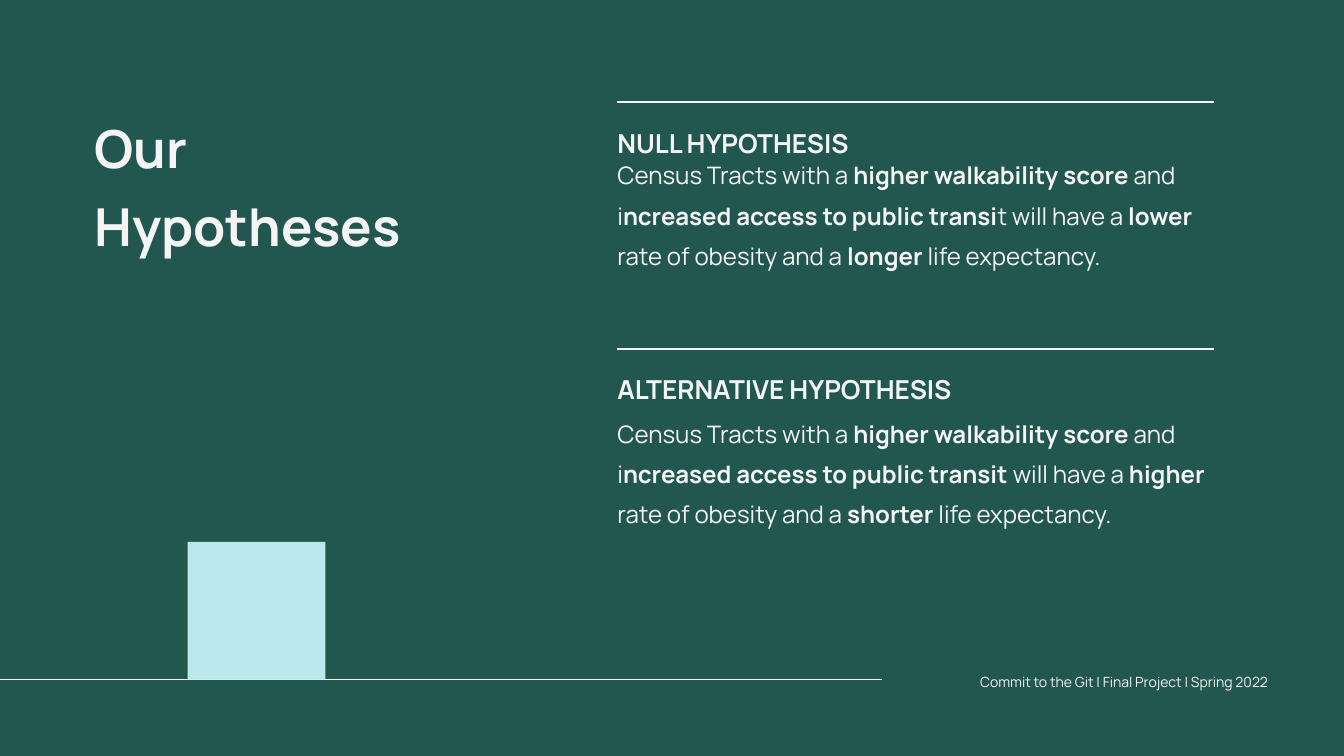
"""Build the hypotheses slide: a title on the left, two ruled statements on the right."""
from lxml import etree
from pptx import Presentation
from pptx import util as u
from pptx.dml.color import RGBColor
from pptx.enum import shapes, text
from pptx.oxml.ns import qn

TITLE = ["Our", "Hypotheses"]
FOOTER = ["Commit to the Git | Final Project | Spring 2022"]
CLAIMS = [
    {
        "head": "NULL HYPOTHESIS",
        "body": "Census Tracts with a *higher walkability score* and i"
                "*ncreased access to public transi*t will have a *lower *"
                "rate of obesity and a *longer *life expectancy.",
        "top": 146, "drop": 67, "high": 142,
    },
    {
        "head": "ALTERNATIVE HYPOTHESIS",
        "body": "Census Tracts with a *higher walkability score* and i"
                "*ncreased access to public transit* will have a *higher *"
                "rate of obesity and a *shorter *life expectancy.",
        "top": 498, "drop": 84, "high": 190,
    },
]

THEME = {
    "back": RGBColor.from_string("225750"),
    "ink": RGBColor.from_string("F4F4F4"),
    "block": RGBColor.from_string("BAE8ED"),
    "font": "Manrope",
    "title": {"size": 56, "bold": True, "lead": 1.25},
    "head": {"size": 28, "bold": True, "lead": 1.4},
    "body": {"size": 25.8, "bold": False, "lead": 1.4},
    "foot": {"size": 15, "bold": False, "lead": 1.4},
}

WIDE, HIGH = 1920, 1080
LEFT, SPAN = 882, 852
BASE = 971
SIDE = 197


def px(*nums):
    return [u.Emu(n * 9525) for n in nums]


def put(item, vals):
    for key, val in vals.items():
        setattr(item, key, val)


def write(host, box, lines, style, align=text.PP_ALIGN.LEFT):
    """Add a text box whose starred spans are bold."""
    look = THEME[style]
    frame = host.add_textbox(*px(*box)).text_frame
    put(frame, {
        "margin_left": 0, "margin_top": 0, "margin_right": 0, "margin_bottom": 0,
        "word_wrap": True, "auto_size": text.MSO_AUTO_SIZE.SHAPE_TO_FIT_TEXT,
    })
    for row, line in enumerate(lines):
        para = frame.add_paragraph() if row else frame.paragraphs[0]
        put(para, {"alignment": align, "line_spacing": look["lead"]})
        for turn, words in enumerate(line.split("*")):
            run = para.add_run()
            run.text = words
            put(run.font, {
                "name": THEME["font"], "size": u.Pt(look["size"]),
                "bold": look["bold"] or turn % 2 == 1,
            })
            run.font.color.rgb = THEME["ink"]


def rule(host, left, right, top, weight):
    """Add a level line without a shadow."""
    line = host.add_connector(shapes.MSO_CONNECTOR.STRAIGHT, *px(left, top, right, top))
    line.line.color.rgb = THEME["ink"]
    line.line.width = u.Pt(weight)
    etree.SubElement(line._element.spPr, qn("a:effectLst"))


def block(host):
    """Stand the pale square on the base line."""
    square = host.add_shape(shapes.MSO_SHAPE.RECTANGLE, *px(268, BASE - SIDE, SIDE, SIDE))
    square.shadow.inherit = False
    square.fill.solid()
    square.fill.fore_color.rgb = THEME["block"]
    square.line.fill.background()


def main():
    deck = Presentation()
    deck.slide_width, deck.slide_height = px(WIDE, HIGH)
    slide = deck.slides.add_slide(deck.slide_layouts[6])
    slide.background.fill.solid()
    slide.background.fill.fore_color.rgb = THEME["back"]
    host = slide.shapes

    rule(host, -14, 1260, BASE, 0.75)
    for claim in CLAIMS:
        rule(host, LEFT, LEFT + SPAN, claim["top"], 2.25)
    block(host)
    write(host, (1279, 952, 533, 28), FOOTER, "foot", text.PP_ALIGN.RIGHT)
    write(host, (135, 143, 486, 185), TITLE, "title")
    for claim in CLAIMS:
        top = claim["top"]
        group = host.add_group_shape().shapes
        write(group, (LEFT, top + 18, SPAN, 49), [claim["head"]], "head")
        write(group, (LEFT, top + claim["drop"], SPAN, claim["high"]), [claim["body"]], "body")

    deck.save("out.pptx")


if __name__ == "__main__":
    main()
